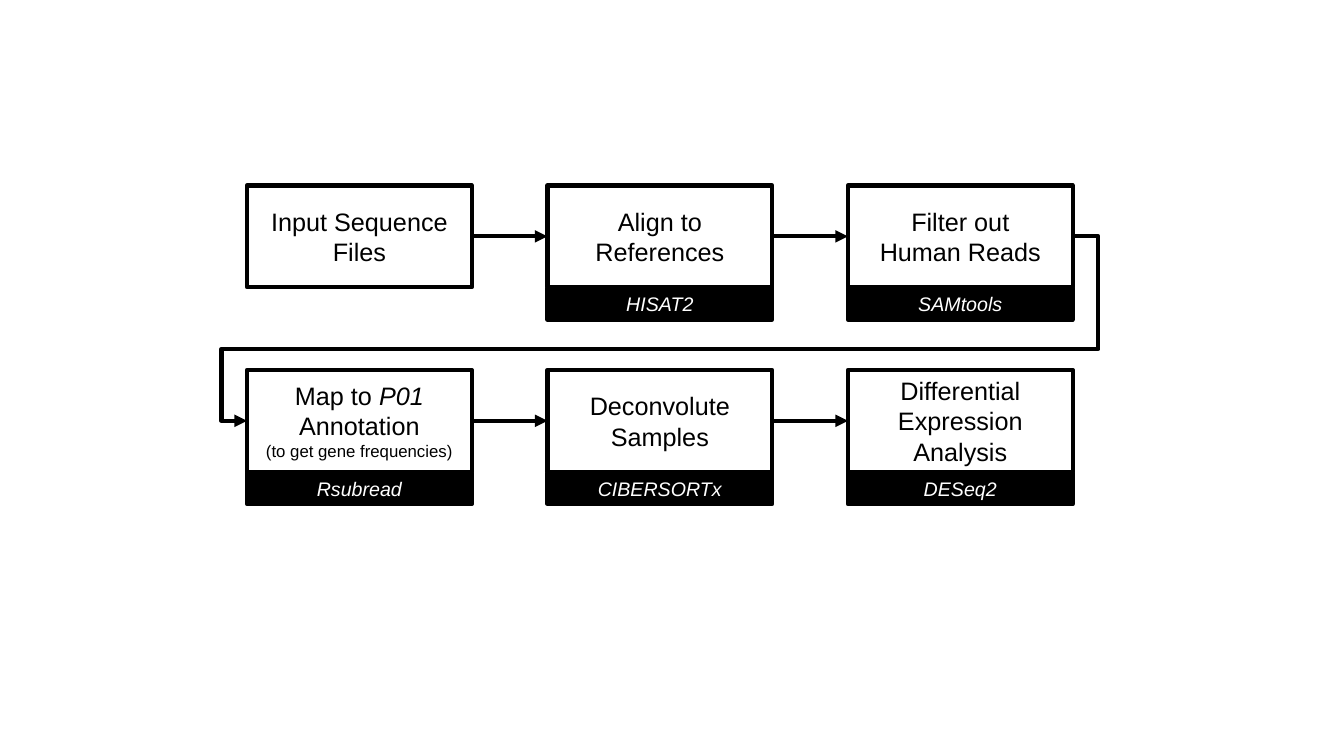
import pptx
import pptx.util
import pptx.dml.color
import pptx.enum.shapes
import pptx.enum.text
import pptx.oxml
import pptx.oxml.ns
from pptx.util import Inches

BLACK = "000000"
WHITE = "FFFFFF"
LEFT, COLUMN_STEP = 2.45, 2.98
TOP, ROW_STEP = 1.84, 1.83
BOX_WIDTH, BOX_HEIGHT = 2.23, 1.01
TOOL_OFFSET, TOOL_HEIGHT = 1.02, 0.31
LEFT_SITE, RIGHT_SITE = 1, 3

STEPS = [
    (["Input Sequence", "Files"], None),
    (["Align to References"], "HISAT2"),
    (["Filter out", "Human Reads"], "SAMtools"),
    (["Map to *P01* Annotation"], "Rsubread"),
    (["Deconvolute Samples"], "CIBERSORTx"),
    (["Differential Expression Analysis"], "DESeq2"),
]
NOTES = {3: "(to get gene frequencies)"}


def color(value):
    return pptx.dml.color.RGBColor.from_string(value)


def add_box(slide, left, top, height, fill=None):
    shape = slide.shapes.add_shape(
        pptx.enum.shapes.MSO_SHAPE.RECTANGLE,
        Inches(left), Inches(top), Inches(BOX_WIDTH), Inches(height))
    shape.shadow.inherit = False
    if fill:
        shape.fill.solid()
        shape.fill.fore_color.rgb = color(fill)
    else:
        shape.fill.background()
    shape.line.color.rgb = color(BLACK)
    shape.line.width = pptx.util.Pt(3)
    shape.text_frame.word_wrap = True
    shape.text_frame.vertical_anchor = pptx.enum.text.MSO_ANCHOR.MIDDLE
    return shape


def write_paragraph(paragraph, text, size, text_color=BLACK):
    paragraph.alignment = pptx.enum.text.PP_ALIGN.CENTER
    paragraph.font.name = "Arial"
    paragraph.font.size = pptx.util.Pt(size)
    paragraph.font.color.rgb = color(text_color)
    for index, part in enumerate(text.split("*")):
        if part:
            run = paragraph.add_run()
            run.text = part
            if index % 2:
                run.font.italic = True


def add_step(slide, index, lines, tool):
    row, column = divmod(index, 3)
    left = LEFT + column * COLUMN_STEP
    top = TOP + row * ROW_STEP
    box = add_box(slide, left, top, BOX_HEIGHT)
    frame = box.text_frame
    write_paragraph(frame.paragraphs[0], lines[0], 18)
    for line in lines[1:]:
        write_paragraph(frame.add_paragraph(), line, 18)
    if index in NOTES:
        write_paragraph(frame.add_paragraph(), NOTES[index], 12)
    if tool:
        bar = add_box(slide, left, top + TOOL_OFFSET, TOOL_HEIGHT, BLACK)
        write_paragraph(bar.text_frame.paragraphs[0], f"*{tool}*", 14, WHITE)
    return box


def add_arrow(slide, source, target, kind):
    connector = slide.shapes.add_connector(kind, 0, 0, 0, 0)
    connector.begin_connect(source, RIGHT_SITE)
    connector.end_connect(target, LEFT_SITE)
    connector.line.color.rgb = color(BLACK)
    connector.line.width = pptx.util.Pt(3)
    properties = connector._element.spPr
    line = properties.find(pptx.oxml.ns.qn("a:ln"))
    line.append(pptx.oxml.parse_xml(
        f'<a:tailEnd {pptx.oxml.ns.nsdecls("a")} type="triangle"/>'))
    properties.append(pptx.oxml.parse_xml(
        f'<a:effectLst {pptx.oxml.ns.nsdecls("a")}/>'))
    return connector


def route_around(connector, adjustments):
    geometry = connector._element.spPr.find(pptx.oxml.ns.qn("a:prstGeom"))
    geometry.set("prst", "bentConnector5")
    guides = "".join(
        f'<a:gd name="adj{number}" fmla="val {value}"/>'
        for number, value in enumerate(adjustments, 1))
    for child in list(geometry):
        geometry.remove(child)
    geometry.append(pptx.oxml.parse_xml(
        f'<a:avLst {pptx.oxml.ns.nsdecls("a")}>{guides}</a:avLst>'))


def main():
    presentation = pptx.Presentation()
    presentation.slide_width = Inches(13.33)
    presentation.slide_height = Inches(7.5)
    slide = presentation.slides.add_slide(presentation.slide_layouts[6])
    boxes = [add_step(slide, index, lines, tool)
             for index, (lines, tool) in enumerate(STEPS)]
    kinds = pptx.enum.shapes.MSO_CONNECTOR
    for index, (source, target) in enumerate(zip(boxes, boxes[1:])):
        if index == 2:
            connector = add_arrow(slide, source, target, kinds.ELBOW)
            route_around(connector, [-3100, 61100, 103100])
        else:
            add_arrow(slide, source, target, kinds.STRAIGHT)
    presentation.save("out.pptx")


if __name__ == "__main__":
    main()
